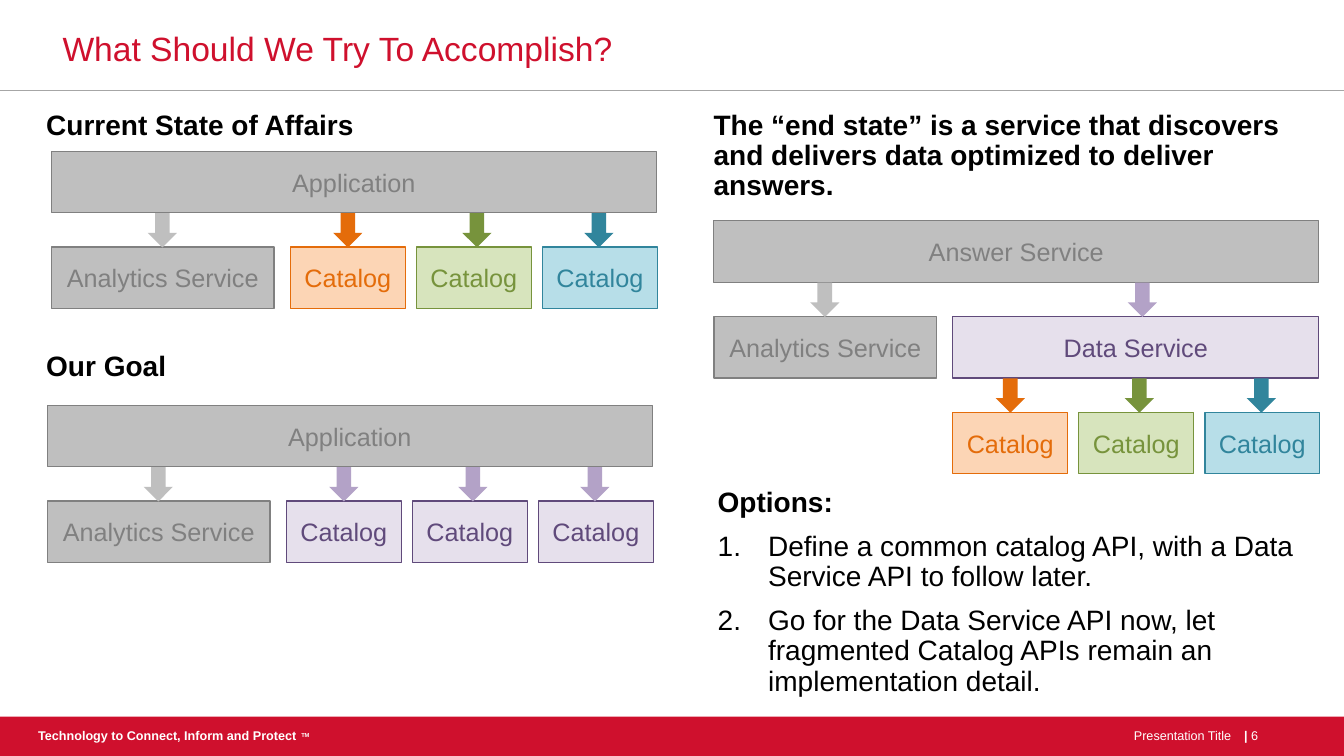
import pptx
import pptx.util
import pptx.dml.color
import pptx.enum.shapes
import pptx.enum.text
import lxml.etree
from dataclasses import dataclass

SCALE = 9144  # EMU per px, 100 px to the inch
SHAPES = pptx.enum.shapes.MSO_SHAPE
ALIGN = pptx.enum.text.PP_ALIGN
ANCHOR = pptx.enum.text.MSO_ANCHOR


@dataclass(frozen=True)
class Tone:
    fill: str
    edge: str
    arrow: str


@dataclass(frozen=True)
class Theme:
    font: str = "Arial"
    red: str = "CF102D"
    white: str = "FFFFFF"
    black: str = "000000"
    rule: str = "A6A6A6"
    gray: Tone = Tone("BFBFBF", "808080", "BFBFBF")
    purple: Tone = Tone("E6E0EC", "604A7B", "B3A2C7")
    orange: Tone = Tone("FCD5B5", "E46C0A", "E46C0A")
    green: Tone = Tone("D7E4BD", "77933C", "77933C")
    teal: Tone = Tone("B7DEE8", "31859C", "31859C")
    title: int = 24
    body: int = 20
    label: int = 18
    footer: int = 9
    mark: int = 7


@dataclass(frozen=True)
class Box:
    left: int
    top: int
    width: int
    height: int

    def emu(self):
        return [value * SCALE for value in (self.left, self.top, self.width, self.height)]


THEME = Theme()
RAINBOW = (THEME.orange, THEME.green, THEME.teal)

# Diagram measures, relative to the diagram's left and top
DIAGRAM_WIDTH = 600
BAR_HEIGHT = 61
LEVEL_STEP = 95
ARROW_DROP = 64
ANALYTICS_WIDTH = 221
CATALOG_LEFT, CATALOG_WIDTH, CATALOG_PITCH = 237, 114, 125
ANALYTICS_ARROW, DATA_ARROW = 93, 408
CATALOG_ARROWS = (277, 405, 526)


def rgb(code):
    return pptx.dml.color.RGBColor.from_string(code)


def write(para, text, size=THEME.body, color=THEME.black, bold=False, align=ALIGN.LEFT,
          line=None, before=None, baseline=None):
    """Add a formatted run to a paragraph."""
    para.alignment = align
    if line is not None:
        para.line_spacing = line
    if before is not None:
        para.space_before = pptx.util.Pt(before)
    span = para.add_run()
    span.text = text
    span.font.name = THEME.font
    span.font.size = pptx.util.Pt(size)
    span.font.bold = bold
    span.font.color.rgb = rgb(color)
    if baseline is not None:
        span._r.get_or_add_rPr().set("baseline", str(baseline * 1000))


def number(para):
    """Give a paragraph an automatic number and a hanging indent."""
    props = para._p.get_or_add_pPr()
    props.set("marL", str(50 * SCALE))
    props.set("indent", str(-50 * SCALE))
    tag = pptx.oxml.ns.qn("a:buAutoNum")
    lxml.etree.SubElement(props, tag).set("type", "arabicPeriod")


def add_text(page, box, anchor=ANCHOR.TOP):
    frame = page.shapes.add_textbox(*box.emu()).text_frame
    frame.word_wrap = True
    frame.vertical_anchor = anchor
    return frame


def add_filled(shapes, kind, box, fill):
    shape = shapes.add_shape(kind, *box.emu())
    shape.shadow.inherit = False
    shape.fill.solid()
    shape.fill.fore_color.rgb = rgb(fill)
    shape.line.fill.background()
    return shape


def add_block(shapes, box, label, tone):
    block = add_filled(shapes, SHAPES.RECTANGLE, box, tone.fill)
    block.line.color.rgb = rgb(tone.edge)
    block.line.width = pptx.util.Pt(1)
    block.text_frame.vertical_anchor = ANCHOR.MIDDLE
    write(block.text_frame.paragraphs[0], label, size=THEME.label, color=tone.edge,
          align=ALIGN.CENTER)


def add_arrow(shapes, left, top, tone):
    arrow = add_filled(shapes, SHAPES.RIGHT_ARROW, Box(left, top, 34, 29), tone.arrow)
    arrow.rotation = 90


def add_title(page, box, text):
    title = page.shapes.title
    title.left, title.top, title.width, title.height = box.emu()
    frame = title.text_frame
    frame.auto_size = pptx.enum.text.MSO_AUTO_SIZE.NONE
    frame.vertical_anchor = ANCHOR.MIDDLE
    write(frame.paragraphs[0], text, size=THEME.title, color=THEME.red, line=0.9)
    # Rule under the title
    ends = [value * SCALE for value in (0, 89, 1333, 89)]
    rule = page.shapes.add_connector(pptx.enum.shapes.MSO_CONNECTOR.STRAIGHT, *ends)
    rule.line.color.rgb = rgb(THEME.rule)
    rule.line.width = pptx.util.Pt(0.25)
    lxml.etree.SubElement(rule._element.spPr, pptx.oxml.ns.qn("a:effectLst"))


def add_footer(page, box):
    add_filled(page.shapes, SHAPES.RECTANGLE, box, THEME.red)
    style = {"size": THEME.footer, "color": THEME.white}

    def place(left, drop, width, height):
        area = Box(box.left + left, box.top + drop, width, height)
        return add_text(page, area, ANCHOR.MIDDLE).paragraphs[0]

    write(place(28, 8, 302, 21), "Technology to Connect, Inform and Protect", bold=True, **style)
    write(place(289, 9, 33, 21), "TM", size=THEME.mark, color=THEME.white, bold=True, baseline=30)
    write(place(927, 6, 304, 25), "Presentation Title", align=ALIGN.RIGHT, **style)
    page_number = place(1224, 4, 97, 29)
    write(page_number, "| ", bold=True, **style)
    write(page_number, "6", **style)


def add_heading(page, box, text):
    frame = add_text(page, box)
    write(frame.paragraphs[0], text, bold=True, line=0.9, before=10)
    return frame


def add_options(page, box, heading, options):
    frame = add_heading(page, box, heading)
    for option in options:
        para = frame.add_paragraph()
        write(para, option, line=0.9, before=10)
        number(para)


def add_diagram(page, left, top, service, catalogs, data_service=False):
    """Draw a service bar over analytics and catalogs, with a data layer if asked."""
    shapes = page.shapes.add_group_shape().shapes
    second = top + LEVEL_STEP
    third = second + LEVEL_STEP if data_service else second
    # Service bar and analytics branch
    add_block(shapes, Box(left, top, DIAGRAM_WIDTH, BAR_HEIGHT), service, THEME.gray)
    add_block(shapes, Box(left, second, ANALYTICS_WIDTH, BAR_HEIGHT), "Analytics Service",
              THEME.gray)
    add_arrow(shapes, left + ANALYTICS_ARROW, top + ARROW_DROP, THEME.gray)
    # Data layer
    if data_service:
        data_box = Box(left + CATALOG_LEFT, second, DIAGRAM_WIDTH - CATALOG_LEFT, BAR_HEIGHT)
        add_block(shapes, data_box, "Data Service", THEME.purple)
        add_arrow(shapes, left + DATA_ARROW, top + ARROW_DROP, THEME.purple)
    # Catalogs
    for index, (tone, arrow_left) in enumerate(zip(catalogs, CATALOG_ARROWS)):
        catalog_left = left + CATALOG_LEFT + index * CATALOG_PITCH
        add_block(shapes, Box(catalog_left, third, CATALOG_WIDTH, BAR_HEIGHT), "Catalog", tone)
        add_arrow(shapes, left + arrow_left, third - LEVEL_STEP + ARROW_DROP, tone)


def main():
    deck = pptx.Presentation()
    deck.slide_width, deck.slide_height = 1333 * SCALE, 750 * SCALE
    page = deck.slides.add_slide(deck.slide_layouts.get_by_name("Title Only"))
    add_footer(page, Box(0, 711, 1333, 39))
    add_title(page, Box(52, 10, 973, 80), "What Should We Try To Accomplish?")
    # Left column
    add_heading(page, Box(36, 105, 600, 228), "Current State of Affairs")
    add_diagram(page, 51, 150, "Application", RAINBOW)
    add_heading(page, Box(36, 345, 600, 228), "Our Goal")
    add_diagram(page, 47, 402, "Application", [THEME.purple] * 3)
    # Right column
    add_heading(page, Box(698, 105, 600, 121), "The “end state” is a service that discovers "
                "and delivers data optimized to deliver answers.")
    add_diagram(page, 708, 219, "Answer Service", RAINBOW, data_service=True)
    add_options(page, Box(702, 479, 600, 121), "Options:", (
        "Define a common catalog API, with a Data Service API to follow later.",
        "Go for the Data Service API now, let fragmented Catalog APIs remain an "
        "implementation detail.",
    ))
    deck.save("out.pptx")


if __name__ == "__main__":
    main()
